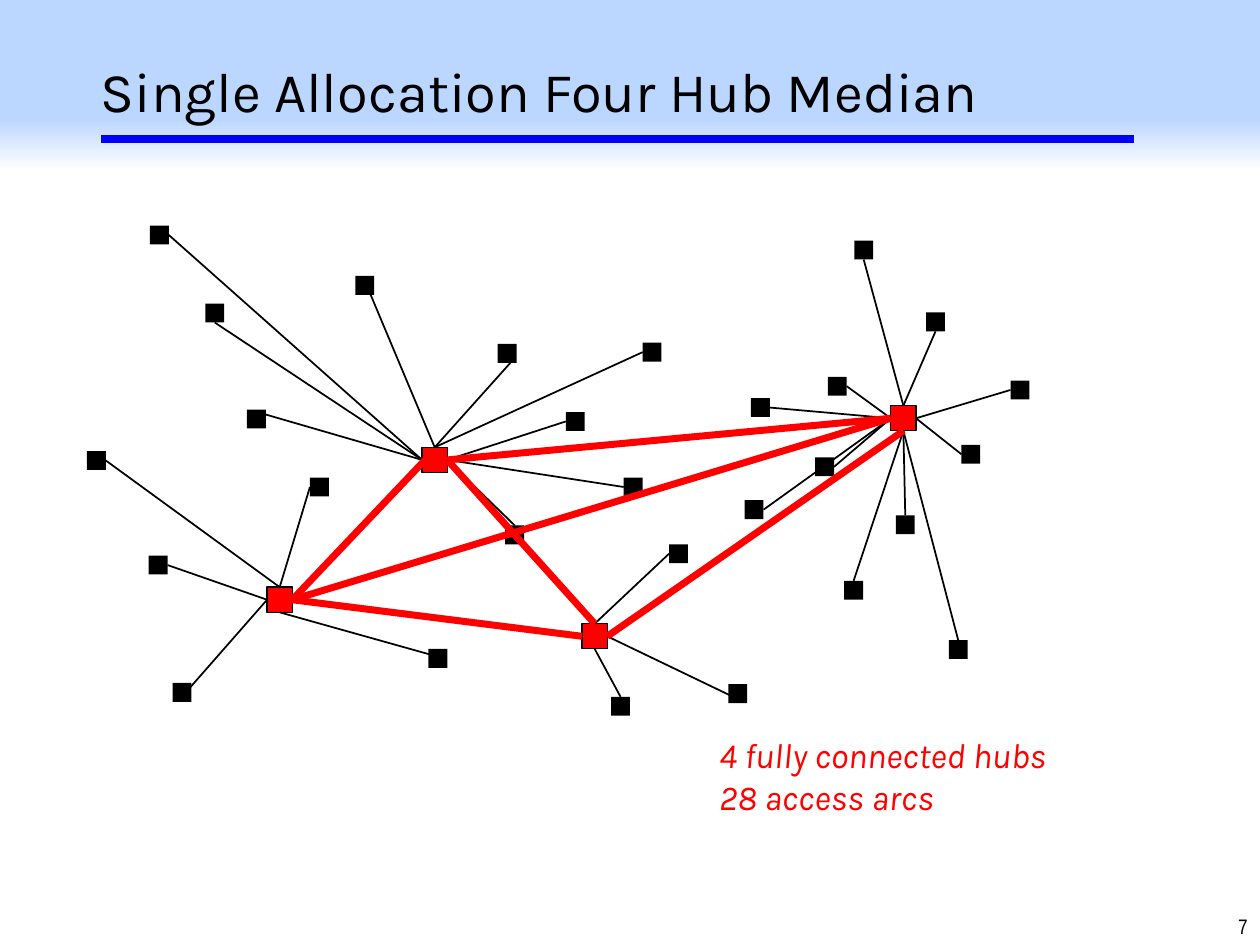
from dataclasses import dataclass
from typing import NamedTuple

from lxml import etree
from pptx import Presentation
from pptx.dml.color import RGBColor
from pptx.enum.shapes import MSO_CONNECTOR, MSO_SHAPE
from pptx.enum.text import MSO_ANCHOR, PP_ALIGN
from pptx.oxml.ns import qn
from pptx.util import Inches, Pt

RECTANGLE = MSO_SHAPE.RECTANGLE
STRAIGHT = MSO_CONNECTOR.STRAIGHT

# The slide is a grid of 100 columns by 75 rows
COLUMNS, ROWS = 100, 75
CELL = Inches(0.1)


@dataclass(frozen=True)
class Theme:
    black: str = "000000"
    red: str = "FF0000"
    white: str = "FFFFFF"
    rule: str = "0000FF"
    band: str = "5E9EFF"
    font: str = "Karla"
    number_font: str = "Arial Narrow"
    title_size: float = 32
    label_size: float = 20
    number_size: float = 12
    node_side: float = 1.5
    hub_side: float = 2
    access_width: float = 1
    backbone_width: float = 4
    rule_width: float = 4.5


THEME = Theme()


class Anchor(NamedTuple):
    """Point on a square, as shares of its width and height."""
    x: float
    y: float


TOP, LEFT, BOTTOM, RIGHT = Anchor(0.5, 0), Anchor(0, 0.5), Anchor(0.5, 1), Anchor(1, 0.5)
SITES = {TOP: 0, LEFT: 1, BOTTOM: 2, RIGHT: 3}


class Access(NamedTuple):
    """A node's column and row, its anchor, and the hub side it reaches."""
    column: float
    row: float
    anchor: Anchor
    hub_side: Anchor


class Hub(NamedTuple):
    column: float
    row: float
    accesses: list[Access]


class Link(NamedTuple):
    start: str
    start_anchor: Anchor
    end: str
    end_anchor: Anchor


HUBS = {
    "north": Hub(33.5, 35.5, [
        Access(11.9, 17.9, RIGHT, LEFT),
        Access(16.3, 24.1, BOTTOM, LEFT),
        Access(19.6, 32.5, Anchor(1, 0.27), LEFT),
        Access(28.2, 21.9, Anchor(0.73, 0.8), TOP),
        Access(39.5, 27.3, Anchor(0.67, 1), TOP),
        Access(51.0, 27.2, LEFT, TOP),
        Access(44.9, 32.7, LEFT, RIGHT),
        Access(49.5, 37.9, LEFT, RIGHT),
        Access(40.1, 41.7, TOP, RIGHT),
    ]),
    "west": Hub(21.2, 46.6, [
        Access(6.9, 35.8, RIGHT, TOP),
        Access(24.6, 37.9, LEFT, TOP),
        Access(11.8, 44.1, RIGHT, LEFT),
        Access(13.7, 54.2, Anchor(0.73, 0.47), LEFT),
        Access(34.0, 51.5, Anchor(0.2, 0.33), BOTTOM),
    ]),
    "south": Hub(46.2, 49.5, [
        Access(53.1, 43.2, LEFT, TOP),
        Access(57.8, 54.3, Anchor(0.53, 0.8), RIGHT),
        Access(48.5, 55.3, TOP, BOTTOM),
    ]),
    "east": Hub(70.7, 32.2, [
        Access(67.8, 19.1, BOTTOM, TOP),
        Access(73.5, 24.8, BOTTOM, TOP),
        Access(80.2, 30.2, LEFT, RIGHT),
        Access(76.3, 35.3, LEFT, RIGHT),
        Access(75.3, 50.8, TOP, BOTTOM),
        Access(67.0, 46.1, TOP, BOTTOM),
        Access(71.1, 40.9, TOP, BOTTOM),
        Access(65.7, 29.9, RIGHT, LEFT),
        Access(59.6, 31.6, RIGHT, LEFT),
        Access(64.7, 36.3, RIGHT, LEFT),
        Access(59.1, 39.7, RIGHT, LEFT),
    ]),
}

BACKBONE = [
    Link("north", RIGHT, "east", LEFT),
    Link("west", RIGHT, "south", LEFT),
    Link("south", RIGHT, "east", BOTTOM),
    Link("west", RIGHT, "east", LEFT),
    Link("south", TOP, "north", RIGHT),
    Link("west", RIGHT, "north", Anchor(0.5, 0.1)),
]


def grid(value: float) -> int:
    return round(value * CELL)


def color(value: str) -> RGBColor:
    return RGBColor.from_string(value)


def add_rectangle(slide, column: float, row: float, width: float, height: float,
                  fill: str, outline: str | None = None):
    shape = slide.shapes.add_shape(RECTANGLE, *map(grid, (column, row, width, height)))
    shape.shadow.inherit = False
    shape.fill.solid()
    shape.fill.fore_color.rgb = color(fill)
    if outline:
        shape.line.color.rgb = color(outline)
        shape.line.width = Pt(0.75)
    else:
        shape.line.fill.background()
    return shape


def add_line(slide, start: tuple[int, int], end: tuple[int, int], stroke: str, width: float):
    line = slide.shapes.add_connector(STRAIGHT, *start, *end)
    line.line.color.rgb = color(stroke)
    line.line.width = Pt(width)
    etree.SubElement(line._element.spPr, qn("a:effectLst"))
    return line


def point_on(shape, anchor: Anchor) -> tuple[int, int]:
    return (round(shape.left + anchor.x * shape.width),
            round(shape.top + anchor.y * shape.height))


def join(slide, start, start_anchor: Anchor, end, end_anchor: Anchor,
         stroke: str, width: float) -> None:
    line = add_line(slide, point_on(start, start_anchor), point_on(end, end_anchor),
                    stroke, width)
    if start_anchor in SITES:
        line.begin_connect(start, SITES[start_anchor])
    if end_anchor in SITES:
        line.end_connect(end, SITES[end_anchor])


def set_text(shape, text: str, font: str, size: float, fill: str, italic: bool = False,
             align=PP_ALIGN.LEFT, anchor=MSO_ANCHOR.TOP) -> None:
    frame = shape.text_frame
    frame.word_wrap = True
    frame.vertical_anchor = anchor
    frame.text = text
    for paragraph in frame.paragraphs:
        paragraph.alignment = align
        for run in paragraph.runs:
            run.font.name = font
            run.font.size = Pt(size)
            run.font.italic = italic
            run.font.color.rgb = color(fill)


def add_band(slide) -> None:
    """Header tint that fades out towards its lower edge."""
    band = add_rectangle(slide, 0, 0, COLUMNS, 13.3, THEME.band)
    band.fill.gradient()
    band.fill.gradient_angle = 90
    for stop, position, opacity in zip(band.fill.gradient_stops, (0, 0.28), (0, 40)):
        stop.position = position
        stop.color.rgb = color(THEME.band)
        tint = stop._gs.find(qn("a:srgbClr"))
        etree.SubElement(tint, qn("a:alpha")).set("val", str(opacity * 1000))


def main() -> None:
    presentation = Presentation()
    presentation.slide_width, presentation.slide_height = grid(COLUMNS), grid(ROWS)
    slide = presentation.slides.add_slide(presentation.slide_layouts[6])

    # Header and slide number
    add_band(slide)
    title = slide.shapes.add_textbox(*map(grid, (7, 2, 93, 10.3)))
    set_text(title, "Single Allocation Four Hub Median", THEME.font, THEME.title_size,
             THEME.black, anchor=MSO_ANCHOR.MIDDLE)
    add_line(slide, (grid(8), grid(11)), (grid(90), grid(11)), THEME.rule, THEME.rule_width)
    number = slide.shapes.add_textbox(*map(grid, (87.8, 72, 12.2, 3)))
    set_text(number, "7", THEME.number_font, THEME.number_size, THEME.black,
             align=PP_ALIGN.RIGHT)

    # Hubs with their nodes and access arcs
    hubs = {}
    for name, hub in HUBS.items():
        hubs[name] = add_rectangle(slide, hub.column, hub.row, THEME.hub_side,
                                   THEME.hub_side, THEME.red, THEME.black)
        for access in hub.accesses:
            node = add_rectangle(slide, access.column, access.row, THEME.node_side,
                                 THEME.node_side, THEME.black)
            join(slide, node, access.anchor, hubs[name], access.hub_side,
                 THEME.black, THEME.access_width)

    # Backbone between the hubs
    for link in BACKBONE:
        join(slide, hubs[link.start], link.start_anchor, hubs[link.end], link.end_anchor,
             THEME.red, THEME.backbone_width)

    # Summary
    summary = add_rectangle(slide, 56.1, 57.7, 33.7, 7.7, THEME.white)
    set_text(summary, "4 fully connected hubs\n28 access arcs", THEME.font,
             THEME.label_size, THEME.red, italic=True)

    presentation.save("out.pptx")


if __name__ == "__main__":
    main()
